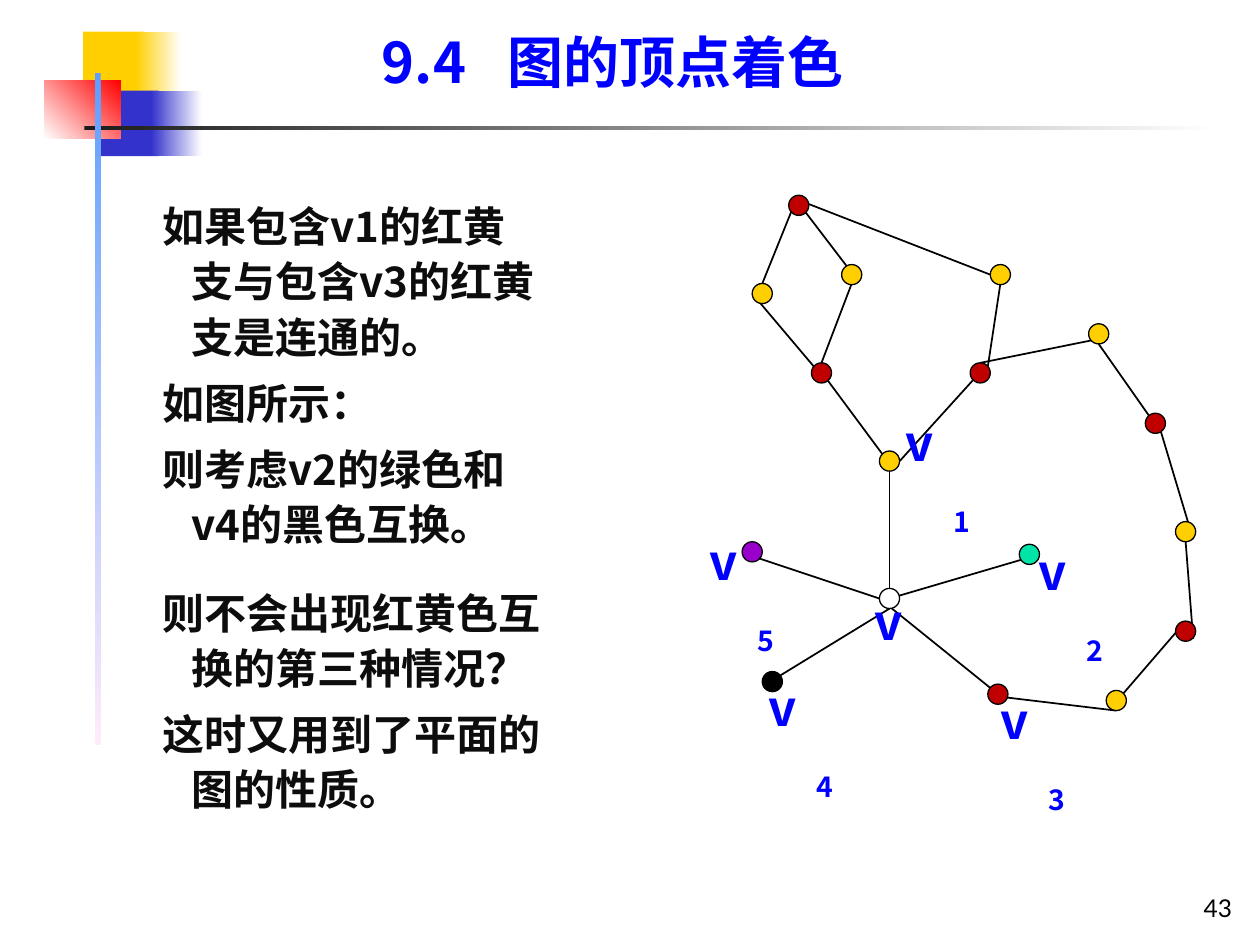
from lxml.etree import SubElement
from pptx import Presentation
from pptx.dml.color import RGBColor
from pptx.enum.shapes import MSO_CONNECTOR, MSO_SHAPE
from pptx.enum.text import MSO_ANCHOR, MSO_AUTO_SIZE, PP_ALIGN
from pptx.oxml.ns import qn
from pptx.util import Inches, Pt

HEADING_FONT = "Noto Sans CJK SC"
BLUE, INK, BLACK, WHITE = "0000FF", "0D0D0D", "000000", "FFFFFF"
RED, YELLOW, GREEN, PURPLE = "C00000", "FFCF01", "00E4A8", "9900CC"


def paint(fill, *colours, angle=0):
    """Solid fill for one colour, linear gradient for two."""
    if len(colours) == 1:
        fill.solid()
        fill.fore_color.rgb = RGBColor.from_string(colours[0])
    else:
        fill.gradient()
        fill.gradient_angle = angle
        for stop, colour in zip(fill.gradient_stops, colours):
            stop.color.rgb = RGBColor.from_string(colour)


def write(holder, box, paragraphs, size, colour, bold=True, font=HEADING_FONT,
          hanging=(0, 0), spacing=0.9, before=0, align=PP_ALIGN.LEFT,
          anchor=MSO_ANCHOR.TOP, tab=None):
    """Place a text holder and fill it; each paragraph is a list of (text, baseline)."""
    holder.left, holder.top, holder.width, holder.height = map(Inches, box)
    frame = holder.text_frame
    frame_format = {"word_wrap": True, "auto_size": MSO_AUTO_SIZE.NONE,
                    "vertical_anchor": anchor, "margin_left": 0, "margin_right": 0,
                    "margin_top": 0, "margin_bottom": 0}
    for name, value in frame_format.items():
        setattr(frame, name, value)
    for number, runs in enumerate(paragraphs):
        paragraph = frame.add_paragraph() if number else frame.paragraphs[0]
        properties = paragraph._p.get_or_add_pPr()
        for name, value in zip(("marL", "indent"), hanging):
            properties.set(name, str(Inches(value)))
        SubElement(properties, qn("a:buNone"))
        if tab:
            stops = SubElement(properties, qn("a:tabLst"))
            SubElement(stops, qn("a:tab"), pos=str(Inches(tab)), algn="l")
        paragraph_format = {"alignment": align, "line_spacing": spacing,
                            "space_before": Pt(before if number else 0)}
        for name, value in paragraph_format.items():
            setattr(paragraph, name, value)
        for text, baseline in runs:
            run = paragraph.add_run()
            run.text = text
            for name, value in {"size": Pt(size), "bold": bold, "name": font}.items():
                setattr(run.font, name, value)
            paint(run.font.fill, colour)
            run_properties = run._r.get_or_add_rPr()
            SubElement(run_properties, qn("a:ea"), typeface=font)
            if baseline:
                run_properties.set("baseline", str(baseline))


deck = Presentation()
deck.slide_width, deck.slide_height = Inches(10), Inches(7.5)
slide = deck.slides.add_slide(deck.slide_layouts[3])
shapes = slide.shapes
title, premise, conclusion = slide.placeholders

# Corner ornament: left, top, width, height, colours, gradient angle
ornament = [
    (0.66, 0.25, 0.48, 0.52, [YELLOW], 0),
    (1.08, 0.25, 0.36, 0.52, [YELLOW, WHITE], 0),
    (0.8, 0.72, 0.46, 0.52, ["3333CC"], 0),
    (1.2, 0.72, 0.4, 0.52, ["3333CC", WHITE], 0),
    (0.35, 0.64, 0.61, 0.46, [WHITE, "FF0000"], 45),
    (0.67, 1, 9, 0.03, ["1C1C1C", WHITE], 0),
    (0.75, 0.58, 0.05, 5.33, ["5E9EFF", "FFEBFA"], 270),
]
for *box, colours, angle in ornament:
    block = shapes.add_shape(MSO_SHAPE.RECTANGLE, *map(Inches, box))
    block.shadow.inherit = False
    block.line.fill.background()
    paint(block.fill, *colours, angle=angle)

# Title and argument
write(title, (3.03, 0.28, 4.17, 0.48), [[("9.4\t图的顶点着色", 0)]], 32, BLUE, tab=0.97)
arguments = [
    (premise, (1.14, 1.55, 3.15, 2.81),
     ["如果包含v1的红黄支与包含v3的红黄支是连通的。", "如图所示：",
      "则考虑v2的绿色和v4的黑色互换。"]),
    (conclusion, (1.14, 4.62, 3.39, 1.84),
     ["则不会出现红黄色互换的第三种情况？", "这时又用到了平面的图的性质。"]),
]
for holder, box, sentences in arguments:
    write(holder, box, [[(sentence, 0)] for sentence in sentences], 24, INK,
          hanging=(0.38, -0.23), spacing=1.1, before=6)

# Graph edges: start x, y, end x, y
edges = [
    # Red-yellow chain on the right
    (8.72, 2.73, 9.12, 3.3), (9.17, 3.28, 9.47, 4.28), (9.41, 4.3, 9.47, 5.07),
    (9.41, 4.93, 8.91, 5.51), (8.86, 5.64, 7.94, 5.53),
    # Red-yellow branch at the top
    (6.42, 1.62, 7.86, 2.18), (6.57, 3.02, 7, 3.6), (7.14, 3.66, 7.72, 3.02),
    (5.97, 2.33, 6.46, 2.91), (6.52, 2.88, 6.76, 2.25), (7.94, 2.25, 7.84, 2.91),
    (7.78, 2.88, 8.67, 2.7), (6.05, 2.25, 6.28, 1.68), (6.39, 1.68, 6.81, 2.23),
    # Spokes from the central vertex
    (7.06, 4.75, 8.25, 4.4), (7.06, 3.74, 7.06, 4.67), (6.02, 4.43, 6.98, 4.75),
    (6.98, 4.75, 7.86, 5.46), (7.06, 4.83, 6.08, 5.43),
]
for ends in edges:
    edge = shapes.add_connector(MSO_CONNECTOR.STRAIGHT, *map(Inches, ends))
    edge.line.width = Pt(1)
    paint(edge.line.fill, BLACK)
    SubElement(edge._element.spPr, qn("a:effectLst"))

# Graph vertices: left and top by colour
vertices = {
    WHITE: [(6.98, 4.67)],
    GREEN: [(8.09, 4.32)],
    PURPLE: [(5.89, 4.3)],
    BLACK: [(6.05, 5.33)],
    RED: [(7.84, 5.43), (6.44, 2.88), (7.7, 2.88), (6.26, 1.55), (9.09, 3.28),
          (9.33, 4.93)],
    YELLOW: [(6.98, 3.58), (8.64, 2.57), (5.97, 2.25), (6.68, 2.1), (7.86, 2.1),
             (9.33, 4.14), (8.78, 5.48)],
}
for colour, corners in vertices.items():
    for left, top in corners:
        vertex = shapes.add_shape(MSO_SHAPE.OVAL, Inches(left), Inches(top),
                                  Inches(0.16), Inches(0.16))
        vertex.shadow.inherit = False
        paint(vertex.fill, colour)
        paint(vertex.line.fill, BLACK)
        vertex.line.width = Pt(0.75)

# Vertex labels: the subscript wraps below the letter
labels = [("", 6.94, 4.75), ("1", 7.19, 3.33), ("2", 8.24, 4.35),
          ("3", 7.94, 5.53), ("4", 6.1, 5.43), ("5", 5.63, 4.27)]
for index, left, top in labels:
    runs = [("v", 0)] + ([(index, -25000)] if index else [])
    box = (left, top, 0.33, 0.9) if index else (left, top, 0.19, 0.42)
    write(shapes.add_textbox(0, 0, 0, 0), box, [runs], 28, BLUE, hanging=(0.38, -0.38))

# Page number
write(shapes.add_textbox(0, 0, 0, 0), (7.8, 6.87, 1.98, 0.45), [[("43", 0)]], 14, BLACK,
      bold=False, font="Lato", spacing=1.0, align=PP_ALIGN.RIGHT, anchor=MSO_ANCHOR.BOTTOM)

deck.save("out.pptx")
